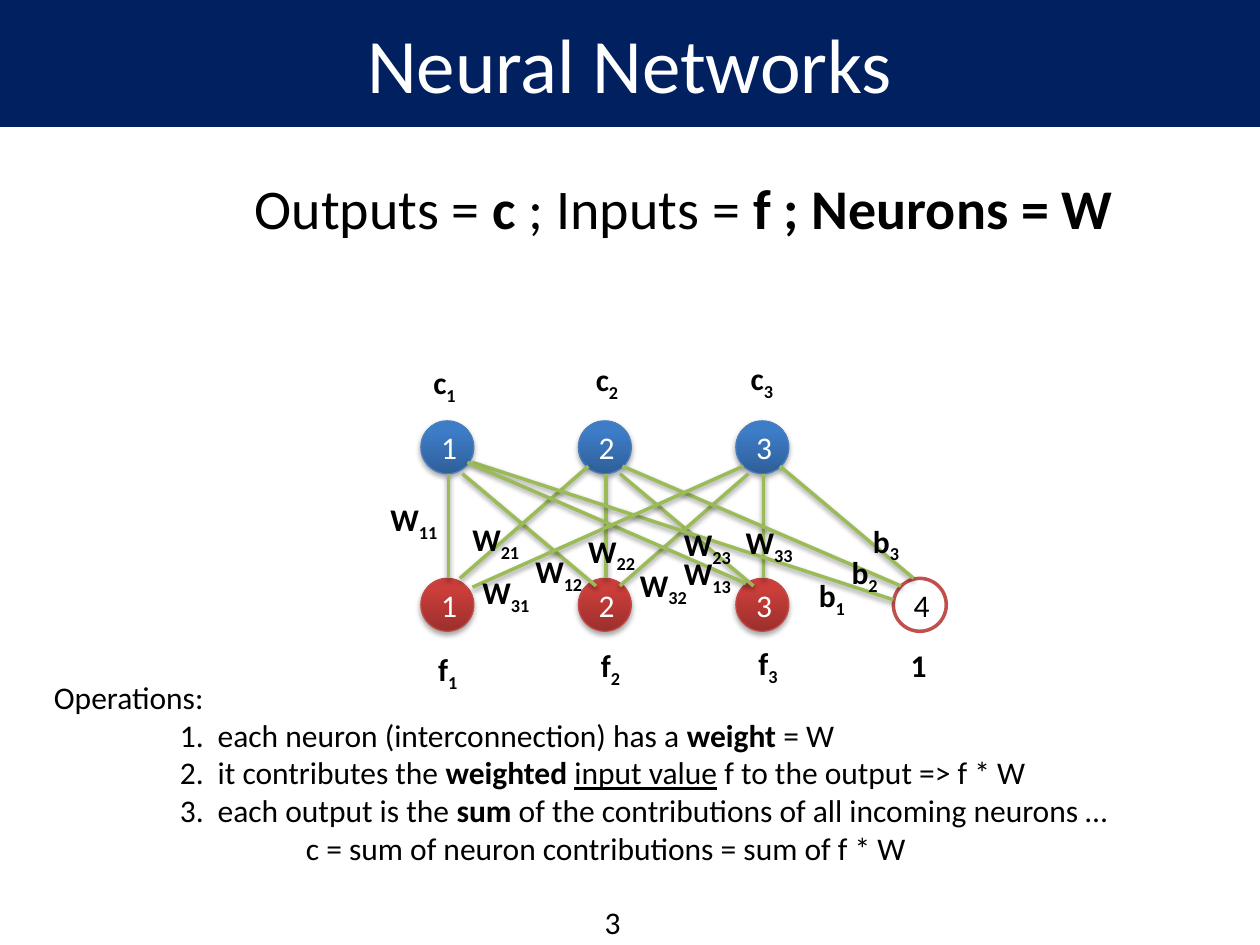
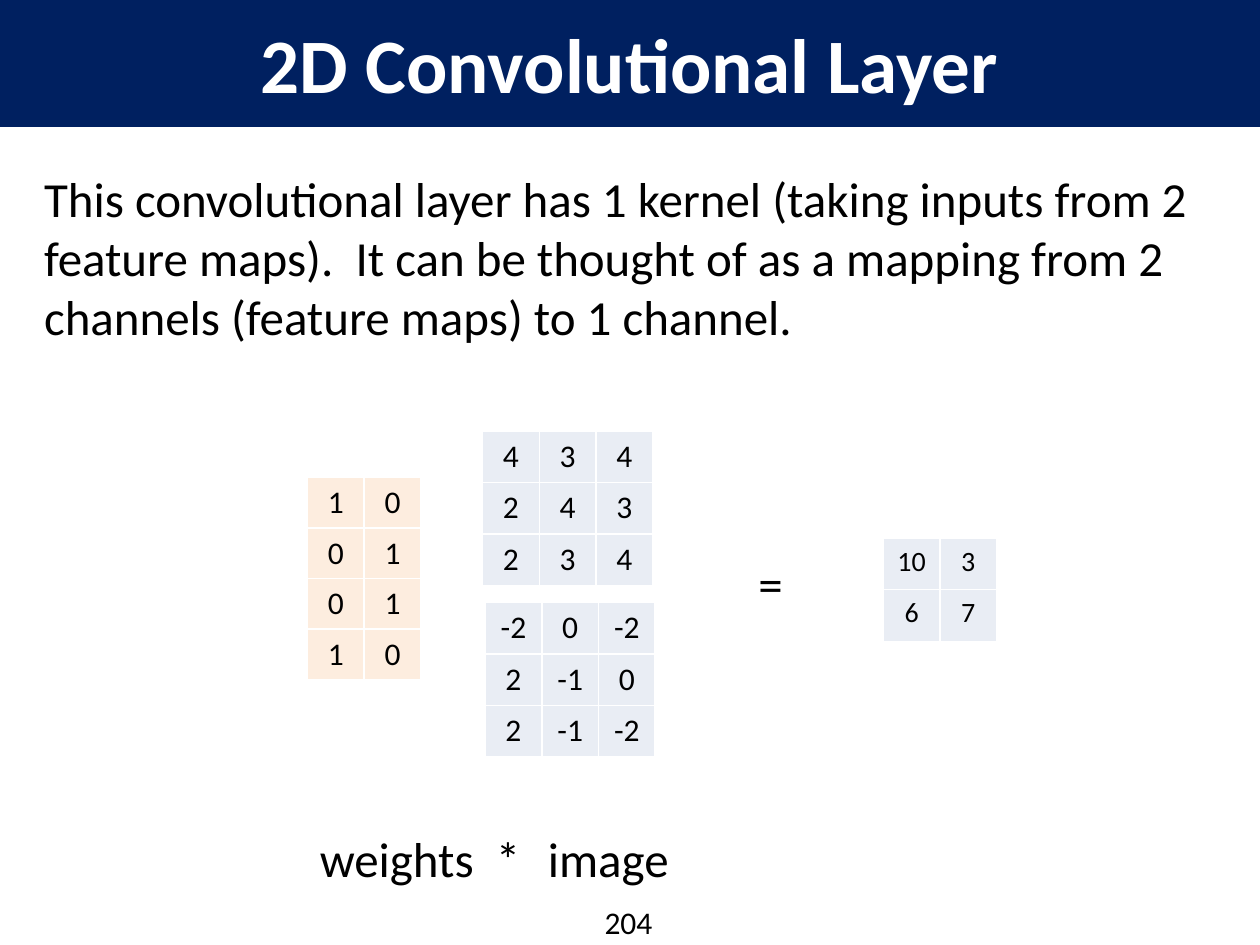
from lxml.etree import SubElement
from pptx import Presentation
from pptx.dml.color import RGBColor
from pptx.enum.shapes import MSO_CONNECTOR, MSO_SHAPE
from pptx.enum.text import MSO_ANCHOR, MSO_AUTO_SIZE, PP_ALIGN
from pptx.oxml.ns import qn
from pptx.util import Inches, Pt

FONT = "Calibri"
NAVY = RGBColor(0x00, 0x20, 0x60)
WHITE = RGBColor(0xFF, 0xFF, 0xFF)
BLACK = RGBColor(0x00, 0x00, 0x00)
BLUE_DARK = RGBColor(0x2F, 0x5F, 0x99)
BLUE_LIGHT = RGBColor(0x3D, 0x7C, 0xC7)
BLUE_EDGE = RGBColor(0x4B, 0x7E, 0xBC)
RED_DARK = RGBColor(0x9C, 0x2F, 0x2D)
RED_LIGHT = RGBColor(0xCB, 0x3E, 0x3A)
RED_EDGE = RGBColor(0xBF, 0x4C, 0x48)
RED = RGBColor(0xC0, 0x50, 0x4D)
GREEN = RGBColor(0x9B, 0xBB, 0x59)
ORANGE = RGBColor(0xF7, 0x96, 0x46)
PALE_BLUE = RGBColor(0xE9, 0xED, 0xF4)

OUTPUT_STYLE = (BLUE_DARK, BLUE_LIGHT, BLUE_EDGE)
INPUT_STYLE = (RED_DARK, RED_LIGHT, RED_EDGE)
NODE_SIZE = 0.42
NODE_STEP = 1.25
LABEL_WIDTHS = {"c": 0.39, "f": 0.37, "W": 0.6, "b": 0.42, "1": 0.33}

DIAGONAL_LINKS = [
    (3.19, 0.90, 4.25, 1.79), (1.92, 0.96, 2.98, 1.85), (0.67, 0.96, 1.73, 1.85),
    (2.94, 0.96, 1.92, 1.85), (1.67, 0.90, 0.65, 1.79), (1.94, 0.90, 4.15, 1.85),
    (0.75, 0.87, 4.09, 1.96), (0.71, 0.87, 2.92, 1.83), (2.90, 0.90, 0.75, 1.86),
]
NETWORK_LABELS = [
    ("c", "1", 0.34, 0.03), ("c", "2", 1.63, 0.01), ("c", "3", 2.86, 0),
    ("f", "1", 0.38, 2.31), ("f", "2", 1.67, 2.28), ("f", "3", 2.92, 2.26),
    ("W", "11", 0, 1.12), ("W", "21", 0.65, 1.28), ("W", "31", 0.73, 1.70),
    ("W", "12", 1.15, 1.53), ("W", "22", 1.57, 1.37), ("W", "32", 1.98, 1.64),
    ("W", "13", 2.33, 1.55), ("W", "23", 2.33, 1.32), ("W", "33", 2.82, 1.30),
    ("b", "1", 3.40, 1.72), ("b", "2", 3.66, 1.54), ("b", "3", 3.83, 1.29),
    ("1", "", 4.13, 2.28),
]
OPERATIONS = [
    [("each neuron (interconnection) has a ", ""), ("weight", "b"), (" = W", "")],
    [("it contributes the ", ""), ("weighted ", "b"), ("input value", "u"),
     (" f to the output => f * W", "")],
    [("each output is the ", ""), ("sum", "b"),
     (" of the contributions of all incoming neurons …", "")],
]


def place(shape, left, top, width, height):
    shape.left, shape.top = Inches(left), Inches(top)
    shape.width, shape.height = Inches(width), Inches(height)


def add_runs(para, runs, size, color=BLACK):
    for text, style in runs:
        span = para.add_run()
        span.text = text
        font = span.font
        font.name, font.size, font.color.rgb = FONT, Pt(size), color
        font.bold, font.underline = "b" in style, "u" in style
        if "s" in style:
            span._r.get_or_add_rPr().set("baseline", "-25000")


def add_text(page, left, top, width, height, runs, size=18, wrap=True):
    box = page.shapes.add_textbox(*map(Inches, (left, top, width, height)))
    box.text_frame.word_wrap = wrap
    add_runs(box.text_frame.paragraphs[0], runs, size)
    return box


def set_indent(para, margin, first=0.0):
    properties = para._p.get_or_add_pPr()
    properties.set("marL", str(Inches(margin)))
    properties.set("indent", str(Inches(first)))
    return properties


def set_shadow(shape, distance=0, alpha=0):
    effects = SubElement(shape._element.spPr, qn("a:effectLst"))
    if alpha:
        shadow = SubElement(effects, qn("a:outerShdw"), blurRad=str(Pt(3.1)),
                            dist=str(Pt(distance)), dir="5400000", rotWithShape="0")
        color = SubElement(shadow, qn("a:srgbClr"), val=str(BLACK))
        SubElement(color, qn("a:alpha"), val=str(alpha * 1000))


def start_page(deck, title, title_style, number):
    page = deck.slides.add_slide(deck.slide_layouts[1])
    band = page.shapes.title
    place(band, 0, 0, 10, 1)
    band.fill.solid()
    band.fill.fore_color.rgb = NAVY
    band.line.color.rgb, band.line.width = NAVY, Pt(0.75)
    frame = band.text_frame
    frame.auto_size, frame.vertical_anchor = MSO_AUTO_SIZE.NONE, MSO_ANCHOR.MIDDLE
    frame.paragraphs[0].alignment = PP_ALIGN.CENTER
    add_runs(frame.paragraphs[0], [(title, title_style)], 44, WHITE)
    add_text(page, 4.7, 7.12, 0.83, 0.4, [(number, "")])
    return page


def fill_body(page, box, runs, size, hanging=0.0):
    body = page.placeholders[1]
    place(body, *box)
    body.text_frame.auto_size = MSO_AUTO_SIZE.NONE
    para = body.text_frame.paragraphs[0]
    if not hanging:
        para.space_before = Pt(0)
    SubElement(set_indent(para, hanging, -hanging), qn("a:buNone"))
    add_runs(para, runs, size)


def add_node(page, left, top, number, style=None):
    node = page.shapes.add_shape(
        MSO_SHAPE.OVAL, *map(Inches, (left, top, NODE_SIZE, NODE_SIZE)))
    if style:
        dark, light, edge = style
        node.fill.gradient()
        node.fill.gradient_angle = 90
        start, end = node.fill.gradient_stops
        start.color.rgb, start.position = dark, 0
        end.color.rgb, end.position = light, 0.8
        node.line.color.rgb, node.line.width = edge, Pt(0.75)
        set_shadow(node, 1.8, 35)
    else:
        node.fill.solid()
        node.fill.fore_color.rgb = WHITE
        node.line.color.rgb, node.line.width = RED, Pt(2)
        node.shadow.inherit = False
    frame = node.text_frame
    frame.vertical_anchor = MSO_ANCHOR.MIDDLE
    frame.paragraphs[0].alignment = PP_ALIGN.CENTER
    add_runs(frame.paragraphs[0], [(str(number), "")], 18, WHITE if style else BLACK)


def add_network(page, left, top):
    for index in range(3):
        x = left + 0.34 + index * NODE_STEP
        add_node(page, x, top + 0.54, index + 1, OUTPUT_STYLE)
        add_node(page, x, top + 1.79, index + 1, INPUT_STYLE)
    add_node(page, left + 0.34 + 3 * NODE_STEP, top + 1.79, 4)

    columns = [0.56 + index * NODE_STEP for index in range(3)]
    vertical_links = [(x, 0.96, x, 1.79) for x in columns]
    for x1, y1, x2, y2 in vertical_links + DIAGONAL_LINKS:
        link = page.shapes.add_connector(
            MSO_CONNECTOR.STRAIGHT,
            *map(Inches, (left + x1, top + y1, left + x2, top + y2)))
        link.line.color.rgb, link.line.width = GREEN, Pt(2)
        set_shadow(link, 1.6, 38)

    for letter, index, x, y in NETWORK_LABELS:
        runs = [(letter, "b")] + ([(index, "bs")] if index else [])
        add_text(page, left + x, top + y, LABEL_WIDTHS[letter], 0.4, runs, wrap=False)


def add_operations(page, left, top, width, height):
    box = add_text(page, left, top, width, height, [("Operations:", "")])
    for runs in OPERATIONS:
        para = box.text_frame.add_paragraph()
        properties = set_indent(para, 1.3, -0.3)
        SubElement(properties, qn("a:buFont"), typeface=FONT)
        SubElement(properties, qn("a:buAutoNum"), type="arabicPeriod")
        add_runs(para, runs, 18)
    result = box.text_frame.add_paragraph()
    set_indent(result, 2)
    add_runs(result, [("c = sum of neuron contributions = sum of f * W", "")], 18)


def style_cell(cell, value, fill, alpha, size):
    cell.fill.solid()
    cell.fill.fore_color.rgb = fill
    properties = cell._tc.get_or_add_tcPr()
    if alpha:
        color = next(properties.iter(qn("a:srgbClr")))
        SubElement(color, qn("a:alpha"), val=str(alpha * 1000))
    for position, side in enumerate(("lnL", "lnR", "lnT", "lnB")):
        border = SubElement(properties, qn(f"a:{side}"), w=str(Pt(1)))
        solid = SubElement(border, qn("a:solidFill"))
        SubElement(solid, qn("a:srgbClr"), val=str(WHITE))
        properties.insert(position, border)
    para = cell.text_frame.paragraphs[0]
    para.alignment = PP_ALIGN.CENTER
    add_runs(para, [(str(value), "")], size)


def add_matrix(page, left, top, rows, fill=PALE_BLUE, alpha=None, size=18, row_height=0.41):
    count = len(rows)
    frame = page.shapes.add_table(
        count, count, *map(Inches, (left, top, 0.45 * count, row_height * count)))
    table = frame.table
    table.first_row = table.horz_banding = False
    for row, values in zip(table.rows, rows):
        row.height = Inches(row_height)
        for cell, value in zip(row.cells, values):
            style_cell(cell, value, fill, alpha, size)


def add_convolution(page, left, top):
    for offset, kernel in ((0.37, [(1, 0), (0, 1)]), (1.17, [(0, 1), (1, 0)])):
        add_matrix(page, left, top + offset, kernel, ORANGE, 17, row_height=0.4)
    add_matrix(page, left + 1.39, top, [(4, 3, 4), (2, 4, 3), (2, 3, 4)])
    add_matrix(page, left + 1.41, top + 1.36, [(-2, 0, -2), (2, -1, 0), (2, -1, -2)])
    add_matrix(page, left + 4.57, top + 0.85, [(10, 3), (6, 7)], size=16)
    for text, x, y, width in (("weights  *", 0, 3.11, 1.86),
                              ("image", 1.81, 3.11, 1.5),
                              ("=", 3.48, 0.92, 1.5)):
        add_text(page, left + x, top + y, width, 0.57, [(text, "")], 28)


def build_network_page(deck):
    page = start_page(deck, "Neural Networks", "", "3")
    fill_body(page, (1.92, 1.33, 7.75, 0.9),
              [("Outputs = ", ""), ("c", "b"), (" ; Inputs = ", ""),
               ("f ; Neurons = W", "b")], 32, 0.38)
    add_network(page, 3, 2.8)
    add_operations(page, 0.33, 5.33, 8.67, 1.62)


def build_convolution_page(deck):
    page = start_page(deck, "2D Convolutional Layer", "b", "204")
    fill_body(page, (0.25, 1.29, 9.5, 1.51),
              [("This convolutional layer has 1 kernel (taking inputs from 2 feature "
                "maps).  It can be thought of as a mapping from 2 channels (feature "
                "maps) to 1 channel.", "")], 28)
    add_convolution(page, 2.44, 3.42)


def main():
    deck = Presentation()
    deck.slide_width, deck.slide_height = Inches(10), Inches(7.5)
    build_network_page(deck)
    build_convolution_page(deck)
    deck.save("out.pptx")


if __name__ == "__main__":
    main()
